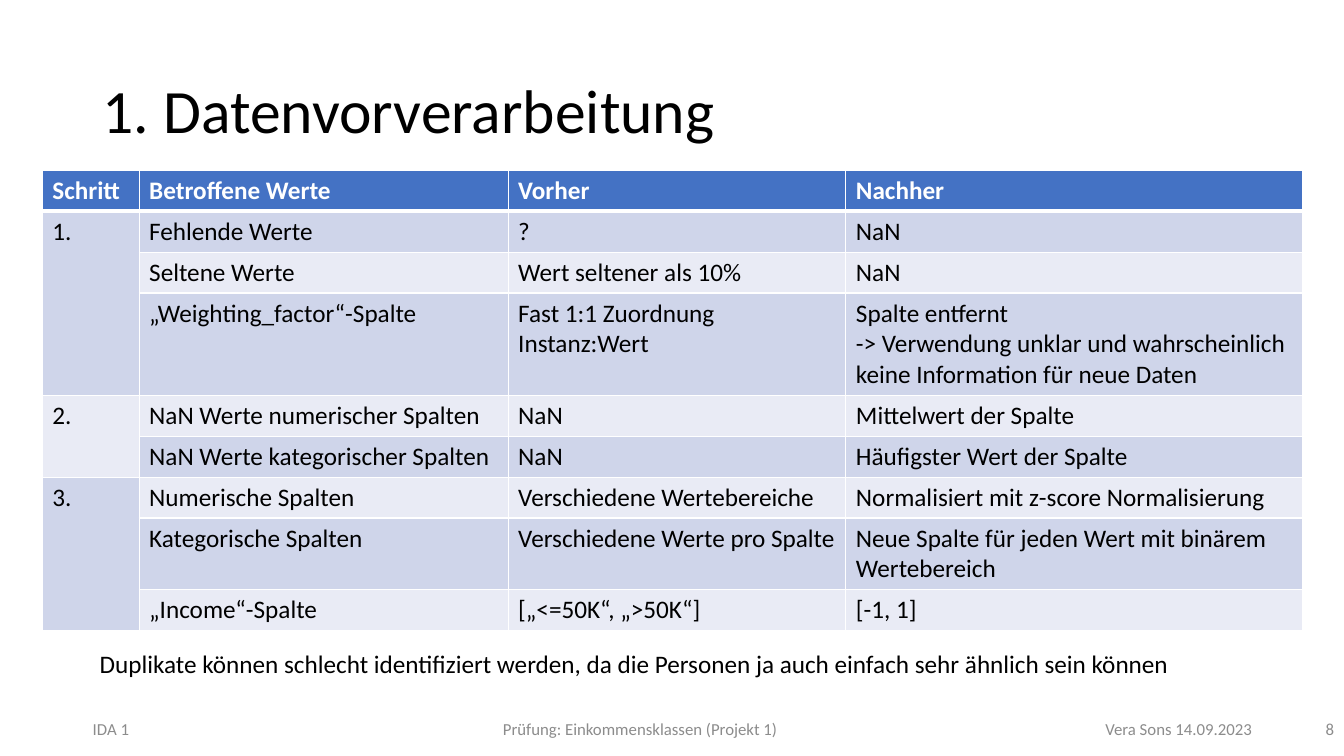
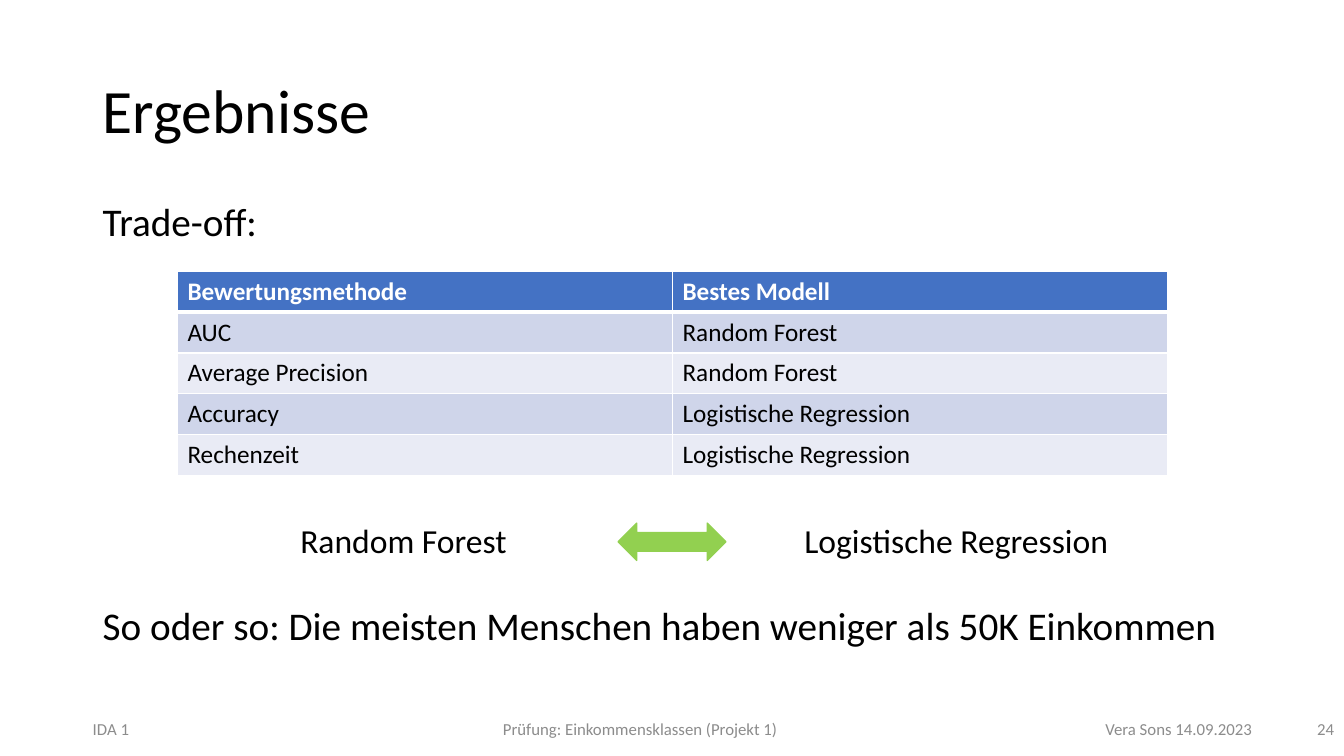
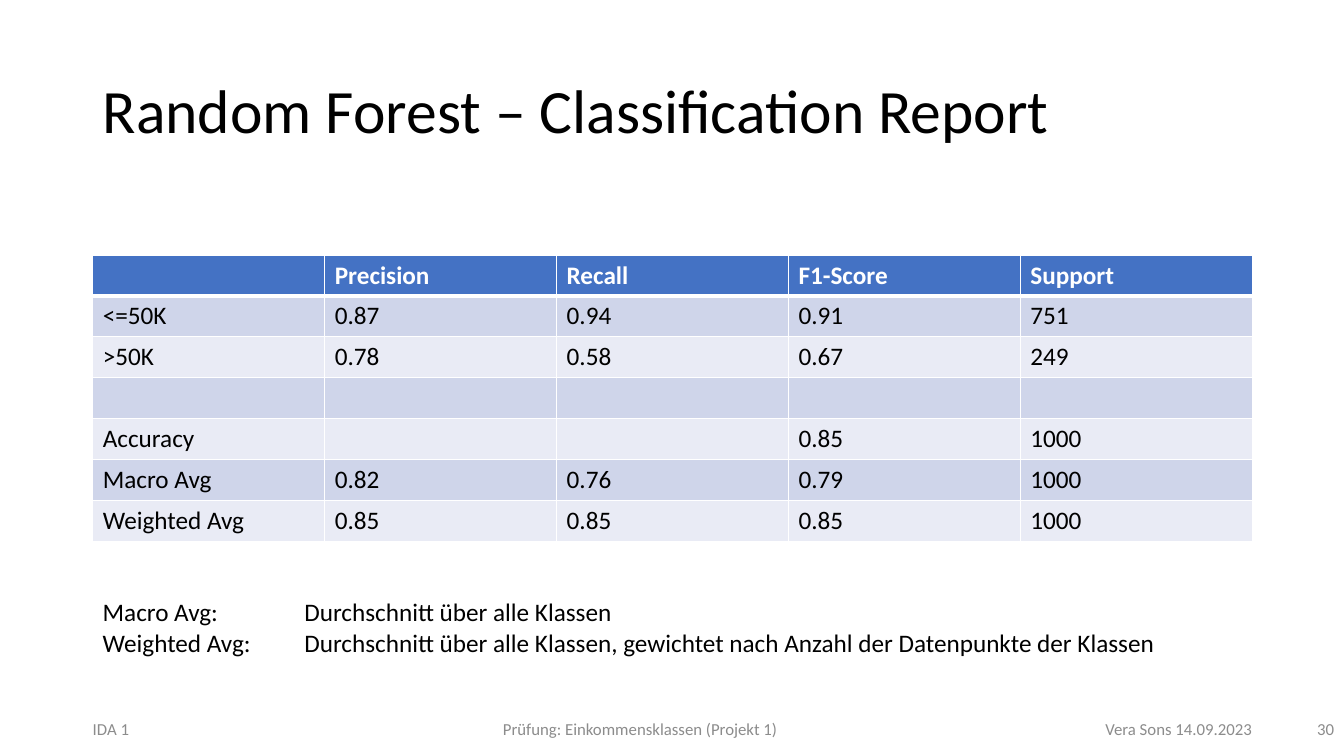
from lxml import etree
from pptx import Presentation
from pptx.dml.color import RGBColor
from pptx.enum.shapes import MSO_SHAPE
from pptx.enum.text import MSO_ANCHOR, PP_ALIGN
from pptx.oxml.ns import qn
from pptx.util import Inches, Pt

FONT = "Calibri"
BLACK, WHITE, GREY = "000000", "FFFFFF", "8C8C8C"
HEADER, GREEN = "4472C4", "92D050"
BANDS = ["CFD5EA", "E9EBF5"]
SLIDE_W, SLIDE_H = 13.33, 7.5
MARGIN, CONTENT_W = 0.92, 11.5
ROW_PT, LINE_PT = 29.2, 22
LEFT, RIGHT = PP_ALIGN.LEFT, PP_ALIGN.RIGHT
TOP, MIDDLE = MSO_ANCHOR.TOP, MSO_ANCHOR.MIDDLE
DOUBLE_ARROW = MSO_SHAPE.LEFT_RIGHT_ARROW


def rgb(color):
    """Turn a hex string into a colour."""
    return RGBColor.from_string(color)


def add_tabs(p, tabs):
    """Give a paragraph tab stops from (inches, alignment) pairs."""
    tab_list = etree.SubElement(p._p.get_or_add_pPr(), qn("a:tabLst"))
    for pos, align in tabs:
        etree.SubElement(tab_list, qn("a:tab"), pos=str(Inches(pos)), algn=align)


def style(p, size, color=BLACK, bold=False):
    """Set the font of a paragraph."""
    p.font.name, p.font.size, p.font.bold = FONT, Pt(size), bold
    p.font.color.rgb = rgb(color)


def add_text(s, text, x, y, w, h, size, color=BLACK, align=LEFT, anchor=TOP,
             spacing=1.0, tabs=(), inset=0.1):
    """Add a text box with one paragraph for each line of text."""
    tf = s.shapes.add_textbox(Inches(x), Inches(y), Inches(w), Inches(h)).text_frame
    tf.word_wrap = True
    tf.vertical_anchor = anchor
    tf.margin_left = Inches(inset)
    tf.text = text
    for p in tf.paragraphs:
        p.alignment = align
        p.line_spacing = spacing
        if tabs:
            add_tabs(p, tabs)
        style(p, size, color)


def add_borders(cell, bottom, top):
    """Draw white borders around a cell, widths in points."""
    tc_pr = cell._tc.get_or_add_tcPr()
    for side, width in (("L", 1), ("R", 1), ("T", top), ("B", bottom)):
        ln = etree.SubElement(tc_pr, qn(f"a:ln{side}"), w=str(Pt(width)))
        fill = etree.SubElement(ln, qn("a:solidFill"))
        etree.SubElement(fill, qn("a:srgbClr"), val=WHITE)


def paint(cell, color):
    """Fill a cell with one colour."""
    cell.fill.solid()
    cell.fill.fore_color.rgb = rgb(color)


def add_grid(s, rows, x, y, col_widths, row_lines=None, spans=()):
    """Add a banded table; row_lines maps rows to line counts, spans merge column 0."""
    row_lines = row_lines or {}
    heights = [Pt(ROW_PT + LINE_PT * (row_lines.get(i, 1) - 1)) for i in range(len(rows))]
    table = s.shapes.add_table(len(rows), len(col_widths), Inches(x), Inches(y),
                               Inches(sum(col_widths)), sum(heights)).table
    table.horz_banding = False
    for col, width in zip(table.columns, col_widths):
        col.width = Inches(width)
    for i, values in enumerate(rows):
        table.rows[i].height = heights[i]
        for j, value in enumerate(values):
            cell = table.cell(i, j)
            cell.text = value
            add_borders(cell, bottom=3 if i == 0 else 1, top=3 if i == 1 else 1)
            paint(cell, BANDS[(i - 1) % 2] if i else HEADER)
            for p in cell.text_frame.paragraphs:
                style(p, 18, BLACK if i else WHITE, bold=i == 0)
    for n, (first, last) in enumerate(spans):
        table.cell(first, 0).merge(table.cell(last, 0))
        for i in range(first, last + 1):
            paint(table.cell(i, 0), BANDS[n % 2])


def add_slide(prs, title, number):
    """Add a slide with the shared title, footer and page number."""
    s = prs.slides.add_slide(prs.slide_layouts[6])
    add_text(s, title, MARGIN, 0.4, CONTENT_W, 1.45, 44, anchor=MIDDLE, spacing=0.9)
    add_text(s, "IDA 1\tPrüfung: Einkommensklassen (Projekt 1)\tVera Sons 14.09.2023",
             0, 7.1, SLIDE_W, 0.25, 12, GREY, anchor=MIDDLE, inset=MARGIN,
             tabs=[(5.43, "ctr"), (CONTENT_W, "r")])
    add_text(s, str(number), SLIDE_W - 3, 7.03, 3, 0.4, 12, GREY, RIGHT, MIDDLE)
    return s


def preprocessing_slide(prs):
    """Build the table of preprocessing steps."""
    s = add_slide(prs, "1. Datenvorverarbeitung", 8)
    rows = [
        ["Schritt", "Betroffene Werte", "Vorher", "Nachher"],
        ["1.", "Fehlende Werte", "?", "NaN"],
        ["", "Seltene Werte", "Wert seltener als 10%", "NaN"],
        ["", "„Weighting_factor“-Spalte", "Fast 1:1 Zuordnung Instanz:Wert",
         "Spalte entfernt\n-> Verwendung unklar und wahrscheinlich "
         "keine Information für neue Daten"],
        ["2.", "NaN Werte numerischer Spalten", "NaN", "Mittelwert der Spalte"],
        ["", "NaN Werte kategorischer Spalten", "NaN", "Häufigster Wert der Spalte"],
        ["3.", "Numerische Spalten", "Verschiedene Wertebereiche",
         "Normalisiert mit z-score Normalisierung"],
        ["", "Kategorische Spalten", "Verschiedene Werte pro Spalte",
         "Neue Spalte für jeden Wert mit binärem Wertebereich"],
        ["", "„Income“-Spalte", "[„<=50K“, „>50K“]", "[-1, 1]"],
    ]
    add_grid(s, rows, 0.42, 1.69, [0.96, 3.66, 3.35, 4.53],
             row_lines={3: 3, 7: 2}, spans=[(1, 3), (4, 5), (6, 8)])
    add_text(s, "Duplikate können schlecht identifiziert werden, da die Personen "
             "ja auch einfach sehr ähnlich sein können", 0.89, 6.38, 10.94, 0.4, 18)


def results_slide(prs):
    """Build the comparison of the two models."""
    s = add_slide(prs, "Ergebnisse", 24)
    forest, regression = "Random Forest", "Logistische Regression"
    add_text(s, "Trade-off:", MARGIN, 2, CONTENT_W, 0.5, 28, spacing=0.8)
    rows = [
        ["Bewertungsmethode", "Bestes Modell"],
        ["AUC", forest],
        ["Average Precision", forest],
        ["Accuracy", regression],
        ["Rechenzeit", regression],
    ]
    add_grid(s, rows, 1.76, 2.69, [4.91] * 2)
    for model, x in ((forest, 2.88), (regression, 7.88)):
        add_text(s, model, x, 5.19, 3.5, 0.45, 24, spacing=0.8)
    arrow = s.shapes.add_shape(DOUBLE_ARROW, Inches(6.13), Inches(5.19),
                               Inches(1.07), Inches(0.37))
    arrow.shadow.inherit = False
    arrow.fill.solid()
    arrow.fill.fore_color.rgb = arrow.line.color.rgb = rgb(GREEN)
    arrow.line.width = Pt(1)
    add_text(s, "So oder so: Die meisten Menschen haben weniger als 50K Einkommen",
             MARGIN, 6.01, CONTENT_W, 0.5, 28, spacing=0.8)


def report_slide(prs):
    """Build the classification report."""
    s = add_slide(prs, "Random Forest – Classification Report", 30)
    rows = [
        ["", "Precision", "Recall", "F1-Score", "Support"],
        ["<=50K", "0.87", "0.94", "0.91", "751"],
        [">50K", "0.78", "0.58", "0.67", "249"],
        [""] * 5,
        ["Accuracy", "", "", "0.85", "1000"],
        ["Macro Avg", "0.82", "0.76", "0.79", "1000"],
        ["Weighted Avg", "0.85", "0.85", "0.85", "1000"],
    ]
    add_grid(s, rows, MARGIN, 2.53, [CONTENT_W / 5] * 5)
    add_text(s, "Macro Avg:\tDurchschnitt über alle Klassen\n"
             "Weighted Avg:\tDurchschnitt über alle Klassen, "
             "gewichtet nach Anzahl der Datenpunkte der Klassen",
             MARGIN, 5.87, 10.77, 0.71, 18, tabs=[(2, "l")])


def main():
    """Build and save the presentation."""
    prs = Presentation()
    prs.slide_width, prs.slide_height = Inches(SLIDE_W), Inches(SLIDE_H)
    preprocessing_slide(prs)
    results_slide(prs)
    report_slide(prs)
    prs.save("out.pptx")


if __name__ == "__main__":
    main()
